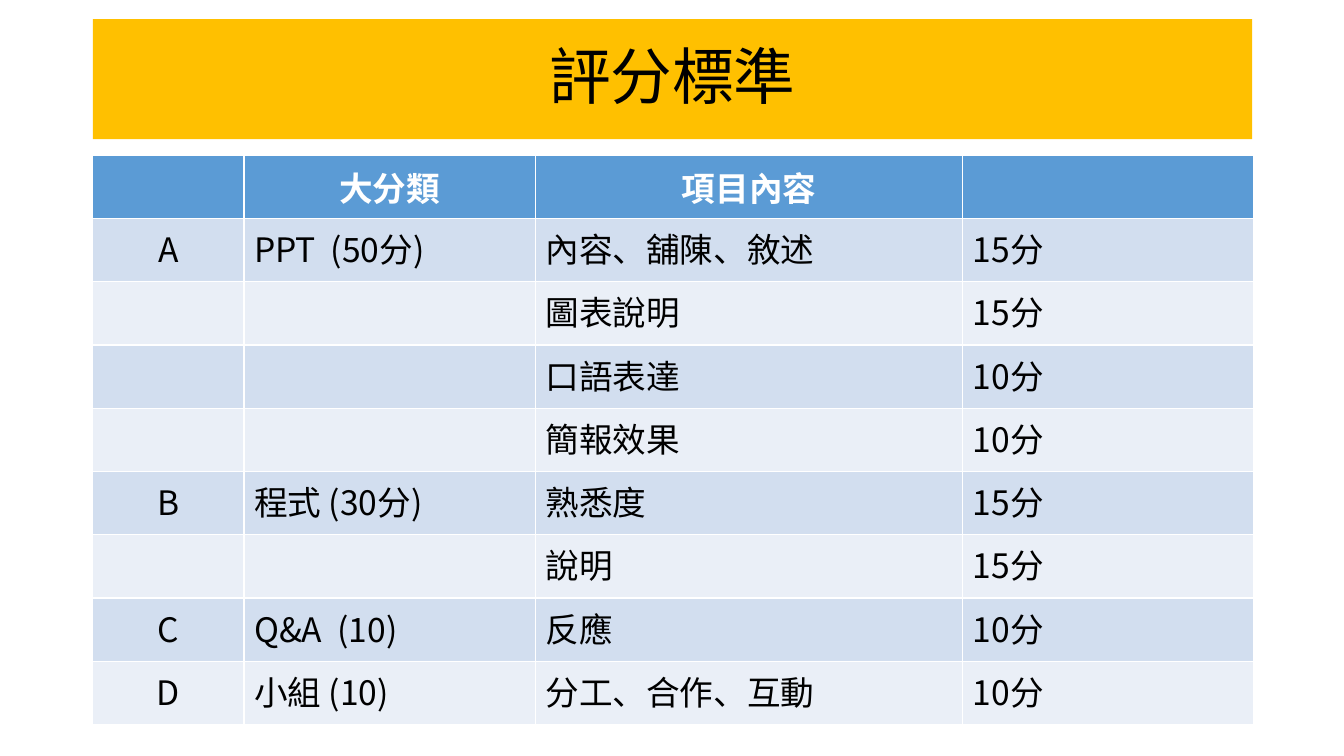
from pptx import Presentation
from pptx import util as u
from pptx.dml.color import RGBColor
from pptx.enum import text
from pptx.oxml import ns
from lxml import etree

COLORS = {
    "banner": "FFC000",
    "header": "5B9BD5",
    "odd": "D2DEEF",
    "even": "EAEFF7",
    "ink": "000000",
    "white": "FFFFFF",
}
FONT = "Noto Sans CJK SC"
LEFT, WIDTH = 0.92, 11.5
COLUMN_WIDTHS = [1.5, 2.89, 4.24, 2.88]
ROW_HEIGHT = 5.65 / 9
CRITERIA = [
    ("", "大分類", "項目內容", ""),
    ("A", "PPT  (50分)", "內容、舖陳、敘述", "15分"),
    ("", "", "圖表說明", "15分"),
    ("", "", "口語表達", "10分"),
    ("", "", "簡報效果", "10分"),
    ("B", "程式 (30分)", "熟悉度", "15分"),
    ("", "", "說明", "15分"),
    ("C", "Q&A  (10)", "反應", "10分"),
    ("D", "小組 (10)", "分工、合作、互動", "10分"),
]


class Deck:
    """Holds the style and the current slide, and adds each kind of element."""

    def __init__(self):
        self.presentation = Presentation()
        self.presentation.slide_width = u.Inches(13.33)
        self.presentation.slide_height = u.Inches(7.5)
        self.slide = self.presentation.slides.add_slide(self.presentation.slide_layouts[5])

    def color(self, name):
        return RGBColor.from_string(COLORS[name])

    def set_words(self, frame, words, size, color, bold=False, centred=False):
        frame.text = words
        paragraph = frame.paragraphs[0]
        paragraph.alignment = text.PP_ALIGN.CENTER if centred else text.PP_ALIGN.LEFT
        for run in paragraph.runs:
            run.font.size = u.Pt(size)
            run.font.bold = bold
            run.font.name = FONT
            run.font.color.rgb = self.color(color)
            east_asian = etree.Element(ns.qn("a:ea"), typeface=FONT)
            run.font._element.find(ns.qn("a:latin")).addnext(east_asian)
        return paragraph

    def title(self, words, top, height):
        banner = self.slide.shapes.title
        banner.left, banner.top = u.Inches(LEFT), u.Inches(top)
        banner.width, banner.height = u.Inches(WIDTH), u.Inches(height)
        banner.fill.solid()
        banner.fill.fore_color.rgb = self.color("banner")
        banner.text_frame.vertical_anchor = text.MSO_ANCHOR.MIDDLE
        self.set_words(banner.text_frame, words, 44, "ink", centred=True).line_spacing = 0.9

    def table(self, rows, top):
        grid = self.slide.shapes.add_table(
            len(rows), len(COLUMN_WIDTHS), u.Inches(LEFT), u.Inches(top),
            u.Inches(WIDTH), u.Inches(ROW_HEIGHT * len(rows))).table
        for column, width in zip(grid.columns, COLUMN_WIDTHS):
            column.width = u.Inches(width)
        for r, row in enumerate(rows):
            heading = r == 0
            band = "header" if heading else "odd" if r % 2 else "even"
            for c, words in enumerate(row):
                cell = grid.cell(r, c)
                cell.fill.solid()
                cell.fill.fore_color.rgb = self.color(band)
                if heading:
                    cell.vertical_anchor = text.MSO_ANCHOR.MIDDLE
                self.set_words(cell.text_frame, words, 24, "white" if heading else "ink",
                               bold=heading, centred=heading or c == 0)

    def save(self):
        self.presentation.save("out.pptx")


def main():
    deck = Deck()
    deck.title("評分標準", 0.19, 1.19)
    deck.table(CRITERIA, 1.54)
    deck.save()


if __name__ == "__main__":
    main()
